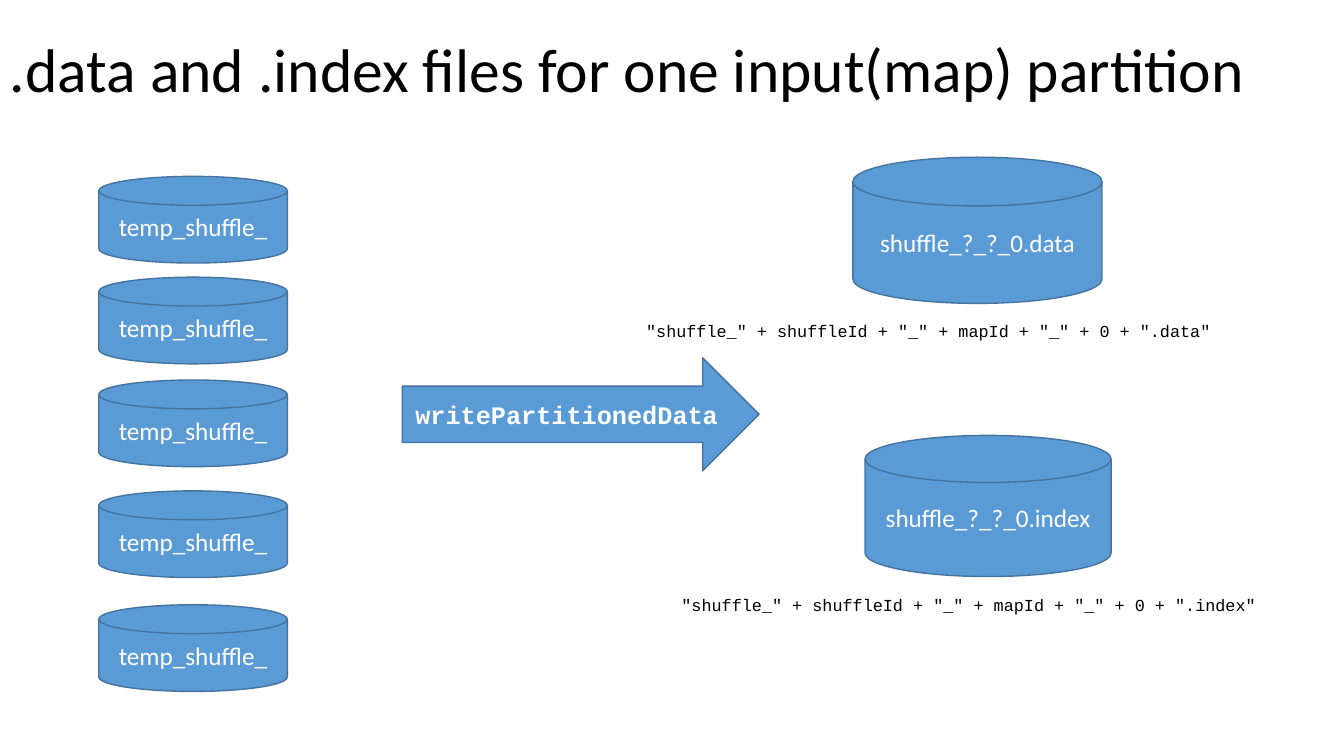
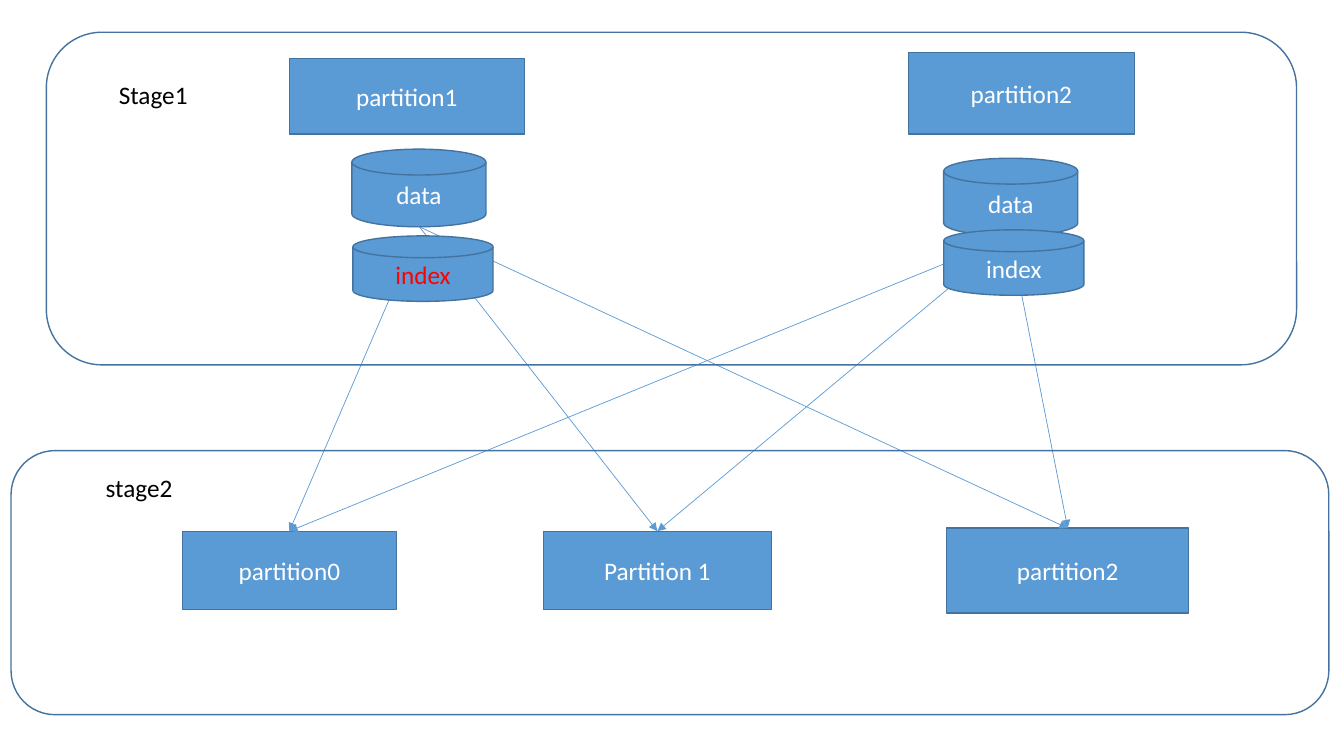
import pptx
import pptx.dml.color
import pptx.enum.shapes
import pptx.enum.text
import pptx.oxml
import pptx.oxml.ns
import pptx.util

Inches = pptx.util.Inches
Pt = pptx.util.Pt
SHAPE = pptx.enum.shapes.MSO_SHAPE
ALIGN = pptx.enum.text.PP_ALIGN
ANCHOR = pptx.enum.text.MSO_ANCHOR
AUTO_SIZE = pptx.enum.text.MSO_AUTO_SIZE

COLORS = {
    "background": "FFFFFF",
    "accent": "5B9BD5",
    "outline": "43739E",
    "on_accent": "FFFFFF",
    "text": "000000",
    "highlight": "FF0000",
}
BODY_FONT = "Calibri"
CODE_FONT = "Courier New"
TOP_SIDE = 0


def rgb(name):
    return pptx.dml.color.RGBColor.from_string(COLORS[name])


def add_slide(prs):
    slide = prs.slides.add_slide(prs.slide_layouts[6])
    slide.background.fill.solid()
    slide.background.fill.fore_color.rgb = rgb("background")
    return slide


def write(frame, text, color, size=18, font=BODY_FONT, bold=False, align=ALIGN.LEFT):
    """Put one styled run into the first paragraph and return the paragraph."""
    paragraph = frame.paragraphs[0]
    paragraph.alignment = align
    run = paragraph.add_run()
    run.text = text
    run.font.name = font
    run.font.size = Pt(size)
    run.font.bold = bold
    run.font.color.rgb = rgb(color)
    return paragraph


def add_outline(slide, kind, box):
    """Add an unfilled preset shape with the shared border."""
    shape = slide.shapes.add_shape(kind, *map(Inches, box))
    shape.shadow.inherit = False
    shape.fill.background()
    shape.line.color.rgb = rgb("outline")
    shape.line.width = Pt(1)
    return shape


def add_node(slide, kind, box, text, color="on_accent", font=BODY_FONT, bold=False):
    """Add a filled shape with a centred label."""
    node = add_outline(slide, kind, box)
    node.fill.solid()
    node.fill.fore_color.rgb = rgb("accent")
    node.text_frame.word_wrap = True
    node.text_frame.vertical_anchor = ANCHOR.MIDDLE
    write(node.text_frame, text, color, font=font, bold=bold, align=ALIGN.CENTER)
    return node


def add_disk(slide, box, text, color="on_accent"):
    return add_node(slide, SHAPE.FLOWCHART_MAGNETIC_DISK, box, text, color)


def add_text_box(slide, box, wrap, anchor, auto_size):
    frame = slide.shapes.add_textbox(*map(Inches, box)).text_frame
    frame.word_wrap = wrap
    frame.vertical_anchor = anchor
    frame.auto_size = auto_size
    return frame


def add_title(slide, text):
    frame = add_text_box(slide, (0, -0.01, 13.33, 1.45), True, ANCHOR.MIDDLE, AUTO_SIZE.NONE)
    write(frame, text, "text", size=44).line_spacing = 0.9


def add_code(slide, box, text):
    frame = add_text_box(slide, box, True, ANCHOR.MIDDLE, AUTO_SIZE.SHAPE_TO_FIT_TEXT)
    write(frame, text, "text", size=12, font=CODE_FONT)


def add_stage_label(slide, box, text):
    frame = add_text_box(slide, box, False, ANCHOR.TOP, AUTO_SIZE.SHAPE_TO_FIT_TEXT)
    write(frame, text, "text")


def add_arrow(slide, start, target):
    """Draw a thin arrow from a point to the middle of the target's top side."""
    x, y = map(Inches, start)
    arrow = slide.shapes.add_connector(
        pptx.enum.shapes.MSO_CONNECTOR.STRAIGHT, x, y, x, y)
    arrow.end_connect(target, TOP_SIDE)
    arrow.line.color.rgb = rgb("accent")
    arrow.line.width = Pt(0.5)
    line = arrow.line._get_or_add_ln()
    head = pptx.oxml.parse_xml(
        f'<a:tailEnd {pptx.oxml.ns.nsdecls("a")} type="triangle"/>')
    line.append(head)
    effects = pptx.oxml.parse_xml(f'<a:effectLst {pptx.oxml.ns.nsdecls("a")}/>')
    line.addnext(effects)


def build_files_slide(prs):
    slide = add_slide(prs)
    add_title(slide, ".data and .index files for one input(map) partition")
    for top in (1.75, 2.75, 3.77, 4.87, 6):
        add_disk(slide, (0.98, top, 1.87, 0.86), "temp_shuffle_")
    add_node(slide, SHAPE.RIGHT_ARROW, (3.99, 3.55, 3.54, 1.12),
             "writePartitionedData", font=CODE_FONT, bold=True)
    outputs = (
        ("data", (8.46, 1.56, 2.47, 1.45), (6.31, 3.13, 6.62, 0.3)),
        ("index", (8.58, 4.32, 2.44, 1.4), (6.66, 5.85, 6.89, 0.3)),
    )
    for extension, disk_box, code_box in outputs:
        add_disk(slide, disk_box, f"shuffle_?_?_0.{extension}")
        add_code(slide, code_box,
                 f'"shuffle_" + shuffleId + "_" + mapId + "_" + 0 + ".{extension}"')


def build_stages_slide(prs):
    slide = add_slide(prs)
    inputs = (
        ("partition1", (2.87, 0.58, 2.33, 0.75)),
        ("partition2", (9.01, 0.52, 2.24, 0.81)),
    )
    outputs = (
        ("partition0", (1.81, 5.27, 2.12, 0.78)),
        ("Partition 1", (5.39, 5.27, 2.26, 0.78)),
        ("partition2", (9.39, 5.24, 2.4, 0.84)),
    )
    for text, box in inputs:
        add_node(slide, SHAPE.RECTANGLE, box, text)
    targets = [add_node(slide, SHAPE.RECTANGLE, box, text) for text, box in outputs]

    first_starts = ((4.12, 2.37), (4.16, 2.25), (4.16, 2.25))
    second_start = (10.02, 2.35)
    for first_start, target in zip(first_starts, targets):
        add_arrow(slide, first_start, target)
        add_arrow(slide, second_start, target)

    stages = (
        ("Stage1", (0.46, 0.32, 12.4, 3.3), (1.08, 0.74, 0.89, 0.71)),
        ("stage2", (0.11, 4.47, 13.07, 2.62), (0.95, 4.64, 0.87, 0.4)),
    )
    for text, stage_box, label_box in stages:
        add_outline(slide, SHAPE.ROUNDED_RECTANGLE, stage_box)
        add_stage_label(slide, label_box, text)

    file_pairs = (
        ((3.49, 1.48), (3.5, 2.34), "highlight"),
        ((9.36, 1.57), (9.36, 2.28), "on_accent"),
    )
    for data_corner, index_corner, index_color in file_pairs:
        add_disk(slide, (*data_corner, 1.33, 0.77), "data")
        add_disk(slide, (*index_corner, 1.39, 0.65), "index", index_color)


def main():
    prs = pptx.Presentation()
    prs.slide_width = Inches(13.33)
    prs.slide_height = Inches(7.5)
    build_files_slide(prs)
    build_stages_slide(prs)
    prs.save("out.pptx")


if __name__ == "__main__":
    main()
